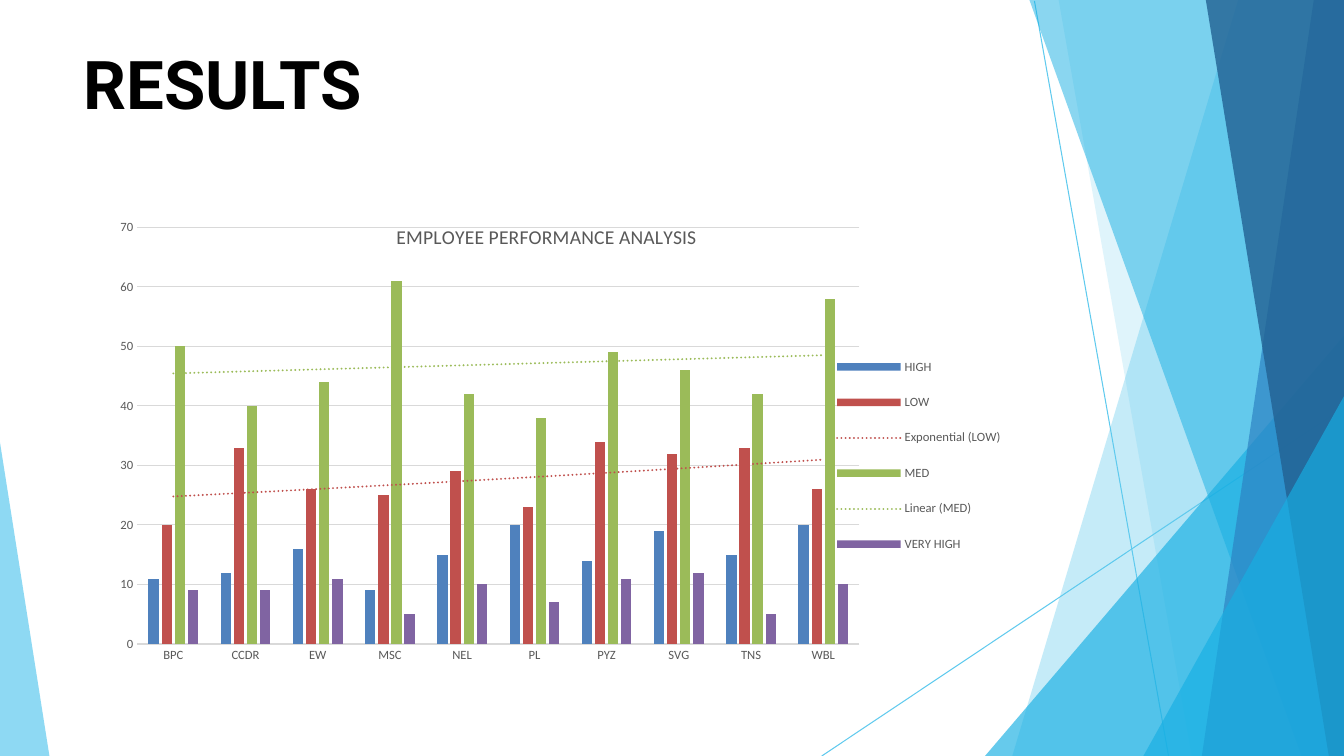
from pptx import Presentation, oxml, util as u
from pptx.chart.data import CategoryChartData
from pptx.dml.color import RGBColor
from pptx.enum import chart as chart_enum, shapes, text
from pptx.oxml import ns

WIDTH, HEIGHT = 13.33, 7.5
SKY, AZURE, BLUE, NAVY = "5FCAEE", "17AFE3", "2D83C3", "226192"
GREY, RULE = "595959", "D9D9D9"

LINES = [((10.26, 0.01), (11.59, HEIGHT)), ((WIDTH, 4.04), (8.15, HEIGHT))]
RIGHT_FACETS = [
    (SKY, 36, 0, 12.28, 10.04),
    (SKY, 20, 0, 10.5, 11.82),
    (AZURE, 66, 3.33, WIDTH, 9.77),
    (AZURE, 50, 0, 10.21, 12.91),
    (BLUE, 70, 0, 13.03, 11.92),
    (NAVY, 80, 0, 11.96, 13.18),
    (AZURE, 66, 3.93, WIDTH, 11.34),
]

TEAMS = ["BPC", "CCDR", "EW", "MSC", "NEL", "PL", "PYZ", "SVG", "TNS", "WBL"]
RATINGS = [
    ("HIGH", "4F81BD", None, [11, 12, 16, 9, 15, 20, 14, 19, 15, 20]),
    ("LOW", "C0504D", "exp", [20, 33, 26, 25, 29, 23, 34, 32, 33, 26]),
    ("MED", "9BBB59", "linear", [50, 40, 44, 61, 42, 38, 49, 46, 42, 58]),
    ("VERY HIGH", "8064A2", None, [9, 9, 11, 5, 10, 7, 11, 12, 5, 10]),
]


def color(value):
    return RGBColor.from_string(value)


def style_font(font, size, value, name="Calibri", bold=False):
    font.size = u.Pt(size)
    font.name = name
    font.bold = bold
    font.color.rgb = color(value)


def style_line(line, value, width=0.75):
    line.color.rgb = color(value)
    line.width = u.Pt(width)


def add_facet(slide, points, fill, opacity):
    corners = [(u.Inches(x), u.Inches(y)) for x, y in points]
    builder = slide.shapes.build_freeform(*corners[0])
    builder.add_line_segments(corners[1:], close=True)
    facet = builder.convert_to_shape()
    facet.shadow.inherit = False
    facet.fill.solid()
    facet.fill.fore_color.rgb = color(fill)
    facet.line.fill.background()
    shade = facet._element.spPr.find(".//" + ns.qn("a:srgbClr"))
    shade.append(oxml.parse_xml(
        f'<a:alpha {ns.nsdecls("a")} val="{opacity * 1000}"/>'))


def add_backdrop(slide, width, height):
    for start, end in LINES:
        connector = slide.shapes.add_connector(
            shapes.MSO_CONNECTOR.STRAIGHT, *map(u.Inches, start + end))
        style_line(connector.line, SKY)
        connector._element.spPr.append(
            oxml.parse_xml(f'<a:effectLst {ns.nsdecls("a")}/>'))
    for fill, opacity, top, top_left, bottom_left in RIGHT_FACETS:
        points = [(width, top), (top_left, top), (bottom_left, height), (width, height)]
        if top_left == width:
            points.pop(0)
        add_facet(slide, points, fill, opacity)
    add_facet(slide, [(0, 4.39), (0, height), (0.49, height)], SKY, 70)


def add_heading(slide, left, top, width, height):
    box = slide.shapes.add_textbox(*map(u.Inches, (left, top, width, height)))
    frame = box.text_frame
    frame.word_wrap = True
    frame.vertical_anchor = text.MSO_ANCHOR.TOP
    frame.margin_left = frame.margin_right = frame.margin_top = frame.margin_bottom = 0
    run = frame.paragraphs[0].add_run()
    run.text = "RESULTS"
    style_font(run.font, 48, "000000", "Roboto", True)


def place_chart_part(part, index, target, **fractions):
    for layout in part.findall(ns.qn("c:layout")):
        part.remove(layout)
    inner = f'<c:layoutTarget val="{target}"/>' if target else ""
    modes = "".join(f'<c:{axis}Mode val="edge"/>' for axis in "xy")
    values = "".join(f'<c:{key} val="{value}"/>' for key, value in fractions.items())
    part.insert(index, oxml.parse_xml(
        f'<c:layout {ns.nsdecls("c")}><c:manualLayout>{inner}{modes}{values}'
        '</c:manualLayout></c:layout>'))


def add_trend(series_element, kind, value):
    series_element.find(ns.qn("c:cat")).addprevious(oxml.parse_xml(
        f'<c:trendline {ns.nsdecls("c", "a")}><c:spPr><a:ln w="{u.Pt(1.5)}" cap="rnd">'
        f'<a:solidFill><a:srgbClr val="{value}"/></a:solidFill>'
        '<a:prstDash val="sysDot"/></a:ln></c:spPr>'
        f'<c:trendlineType val="{kind}"/><c:dispRSqr val="0"/><c:dispEq val="0"/>'
        '</c:trendline>'))


def style_axes(chart):
    for axis in (chart.category_axis, chart.value_axis):
        axis.major_tick_mark = axis.minor_tick_mark = chart_enum.XL_TICK_MARK.NONE
        style_font(axis.tick_labels.font, 9, GREY)
    style_line(chart.category_axis.format.line, RULE)
    values = chart.value_axis
    values.minimum_scale, values.maximum_scale, values.major_unit = 0, 70, 10
    values.format.line.fill.background()
    values.has_major_gridlines = True
    style_line(values.major_gridlines.format.line, RULE)


def add_performance_chart(slide, left, top, width, height):
    data = CategoryChartData()
    data.categories = TEAMS
    for name, _, _, scores in RATINGS:
        data.add_series(name, scores)
    chart = slide.shapes.add_chart(
        chart_enum.XL_CHART_TYPE.COLUMN_CLUSTERED,
        *map(u.Inches, (left, top, width, height)), data).chart
    style_font(chart.font, 10, "000000")
    style_axes(chart)

    plot = chart.plots[0]
    plot.gap_width, plot.overlap = 219, -27
    plot.vary_by_categories = False
    series_elements = list(chart.element.iter(ns.qn("c:ser")))
    for series, element, rating in zip(plot.series, series_elements, RATINGS):
        _, value, trend, _ = rating
        series.format.fill.solid()
        series.format.fill.fore_color.rgb = color(value)
        if trend:
            add_trend(element, trend, value)

    chart.has_title = True
    run = chart.chart_title.text_frame.paragraphs[0].add_run()
    run.text = "EMPLOYEE PERFORMANCE ANALYSIS"
    style_font(run.font, 14, GREY)
    chart.has_legend = True
    chart.legend.position = chart_enum.XL_LEGEND_POSITION.RIGHT
    chart.legend.include_in_layout = False
    style_font(chart.legend.font, 9, GREY)

    body = chart.element.chart
    place_chart_part(body.plotArea, 0, "inner", x=0.038, y=0.133, w=0.754, h=0.812)
    place_chart_part(body.find(ns.qn("c:title")), 1, None, x=0.305, y=0.117)
    place_chart_part(body.find(ns.qn("c:legend")), 1, None, x=0.764, y=0.35, w=0.18, h=0.455)


def main():
    presentation = Presentation()
    presentation.slide_width = u.Inches(WIDTH)
    presentation.slide_height = u.Inches(HEIGHT)
    slide = presentation.slides.add_slide(presentation.slide_layouts[6])
    add_backdrop(slide, WIDTH, HEIGHT)
    add_heading(slide, 0.83, 0.42, 11.68, 0.83)
    add_performance_chart(slide, 1, 1.58, 9.5, 5.09)
    presentation.save("out.pptx")


if __name__ == "__main__":
    main()
